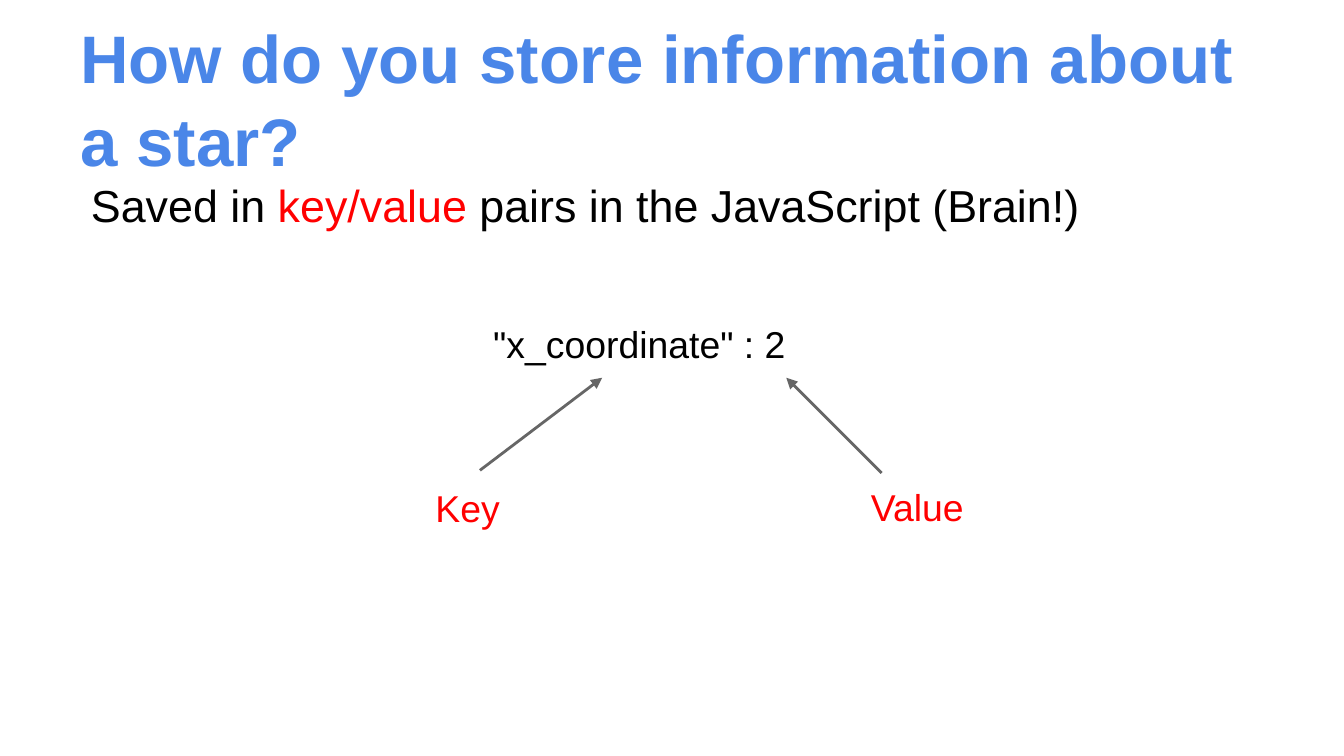
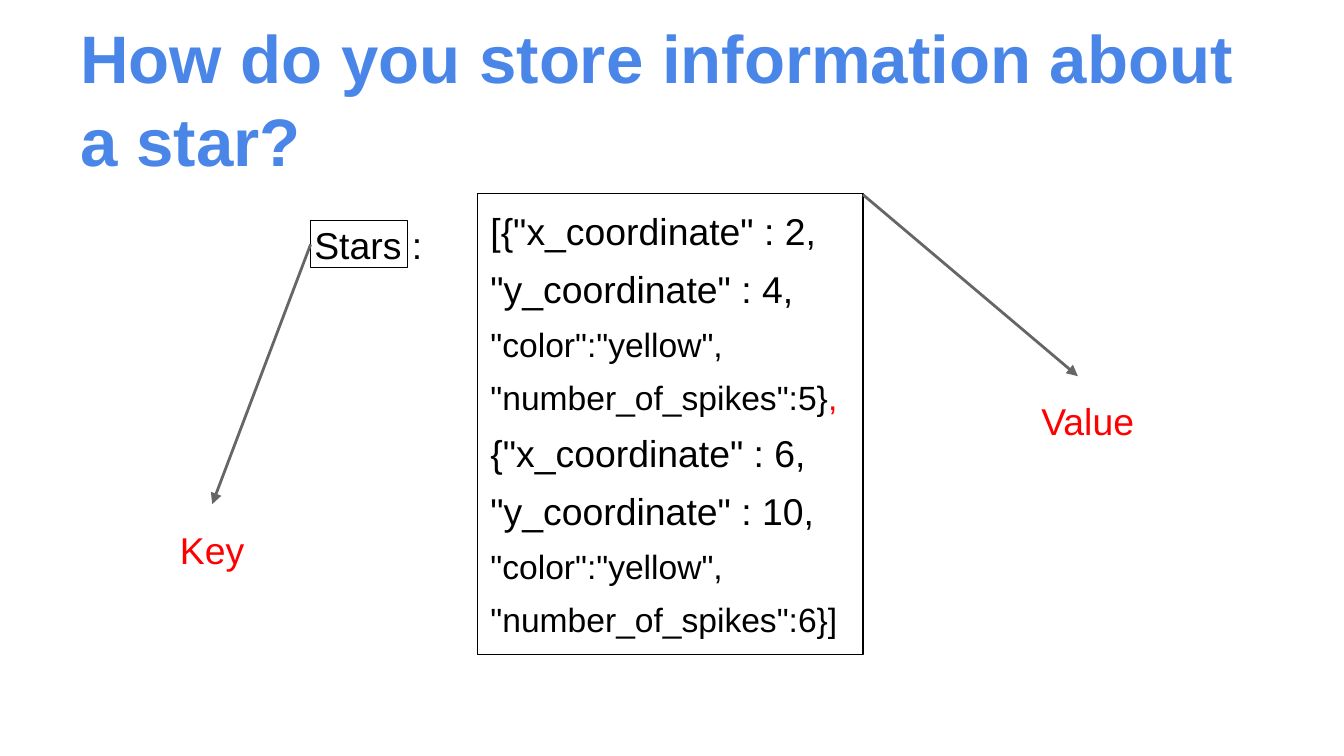
from lxml import etree
from pptx import Presentation
from pptx.dml.color import RGBColor
from pptx.enum.shapes import MSO_CONNECTOR, MSO_SHAPE
from pptx.enum.text import MSO_ANCHOR, MSO_AUTO_SIZE, PP_ALIGN
from pptx.oxml.ns import qn
from pptx.util import Cm, Pt

STRAIGHT = MSO_CONNECTOR.STRAIGHT
RECTANGLE = MSO_SHAPE.RECTANGLE
TOP, BOTTOM = MSO_ANCHOR.TOP, MSO_ANCHOR.BOTTOM
NO_AUTOFIT = MSO_AUTO_SIZE.NONE
LEFT = PP_ALIGN.LEFT

FONT = "Arial"
TITLE = "How do you store information about a star?"
TITLE_ONLY = 5
LINE_SPACING = 1.04
INSET = 0.25
COLORS = {"title": "4A86E8", "text": "000000", "accent": "FF0000", "arrow": "666666"}


def color(name):
    return RGBColor.from_string(COLORS[name])


def style_font(font, size, color_name, bold=False):
    font.name = FONT
    font.size = Pt(size)
    font.bold = bold
    font.color.rgb = color(color_name)


def prepare_frame(frame, anchor=TOP):
    frame.word_wrap = True
    frame.auto_size = NO_AUTOFIT
    frame.vertical_anchor = anchor
    frame.margin_left = frame.margin_right = Cm(INSET)
    frame.margin_top = frame.margin_bottom = Cm(INSET)


def write_para(para, spans, size, space_before=0):
    para.alignment = LEFT
    para.line_spacing = LINE_SPACING
    para.space_before = Pt(space_before)
    color_names = {color_name for _, color_name in spans}
    if len(color_names) == 1:
        style_font(para.font, size, color_names.pop())
    for text, color_name in spans:
        span = para.add_run()
        span.text = text
        if len(spans) > 1:
            style_font(span.font, size, color_name)


def add_titled_page(deck):
    page = deck.slides.add_slide(deck.slide_layouts[TITLE_ONLY])
    title = page.shapes.title
    title.left, title.top, title.width, title.height = Cm(1.27), Cm(0.46), Cm(22.86), Cm(3.2)
    prepare_frame(title.text_frame, BOTTOM)
    title.text_frame.text = TITLE
    para = title.text_frame.paragraphs[0]
    para.alignment = LEFT
    para.line_spacing = LINE_SPACING
    style_font(para.font, 36, "title", bold=True)
    return page


def add_text(page, left, top, width, height, spans, size=20):
    box = page.shapes.add_textbox(Cm(left), Cm(top), Cm(width), Cm(height))
    prepare_frame(box.text_frame)
    write_para(box.text_frame.paragraphs[0], spans, size)
    return box


def add_label(page, left, top, width, height, text):
    add_text(page, left, top, width, height, [(text, "accent")])


def add_outline(page, left, top, width, height):
    box = page.shapes.add_shape(RECTANGLE, Cm(left), Cm(top), Cm(width), Cm(height))
    box.shadow.inherit = False
    box.fill.background()
    box.line.color.rgb = color("text")
    box.line.width = Pt(0.75)
    return box


def add_code_box(page, left, top, width, height, lines):
    frame = add_outline(page, left, top, width, height).text_frame
    prepare_frame(frame)
    for index, (size, spans) in enumerate(lines):
        para = frame.add_paragraph() if index else frame.paragraphs[0]
        write_para(para, spans, size, space_before=6)


def add_arrow(page, start, end):
    arrow = page.shapes.add_connector(STRAIGHT, *map(Cm, start + end))
    arrow.line.color.rgb = color("arrow")
    arrow.line.width = Pt(1.5)
    line = arrow.line._get_or_add_ln()
    etree.SubElement(line, qn("a:tailEnd"), type="triangle", w="med", len="med")
    etree.SubElement(arrow._element.spPr, qn("a:effectLst"))


def star_lines(x_line, y_line, spikes_spans):
    return [
        (20, [(x_line, "text")]),
        (20, [(y_line, "text")]),
        (18, [('"color":"yellow",', "text")]),
        (18, spikes_spans),
    ]


def build_pair_page(deck):
    page = add_titled_page(deck)
    add_text(page, 9.07, 5.79, 11.96, 4.6, [('"x_coordinate" : 2', "text")])
    add_arrow(page, (9.07, 8.89), (11.38, 7.14))
    add_arrow(page, (16.66, 8.94), (14.86, 7.14))
    add_label(page, 7.98, 8.89, 2.16, 1.6, "Key")
    add_label(page, 16.21, 8.86, 2.97, 1.6, "Value")
    summary = [
        ("Saved in", "text"),
        (" key/value ", "accent"),
        ("pairs in the JavaScript (Brain!)", "text"),
    ]
    box = add_text(page, 1.27, 3.07, 22.86, 1.68, summary, size=24)
    box.text_frame.margin_left = Cm(0.45)


def build_list_page(deck):
    page = add_titled_page(deck)
    first_star = star_lines(
        '[{"x_coordinate" : 2,', '"y_coordinate" : 4,',
        [('"number_of_spikes":5}', "text"), (",", "accent")])
    second_star = star_lines(
        '{"x_coordinate" : 6,', '"y_coordinate" : 10,',
        [('"number_of_spikes":6}]', "text")])
    add_code_box(page, 9.02, 3.66, 7.29, 8.71, first_star + second_star)
    add_text(page, 5.69, 3.91, 2.74, 1.12, [("Stars :", "text")])
    add_outline(page, 5.87, 4.17, 1.83, 0.89)
    add_arrow(page, (5.87, 4.62), (4.01, 9.53))
    add_arrow(page, (16.31, 3.68), (20.37, 7.11))
    add_label(page, 3.15, 9.68, 3.15, 1.12, "Key")
    add_label(page, 19.43, 7.24, 3.15, 1.12, "Value")


def main():
    deck = Presentation()
    deck.slide_width, deck.slide_height = Cm(25.4), Cm(14.29)
    build_pair_page(deck)
    build_list_page(deck)
    deck.save("out.pptx")


if __name__ == "__main__":
    main()
